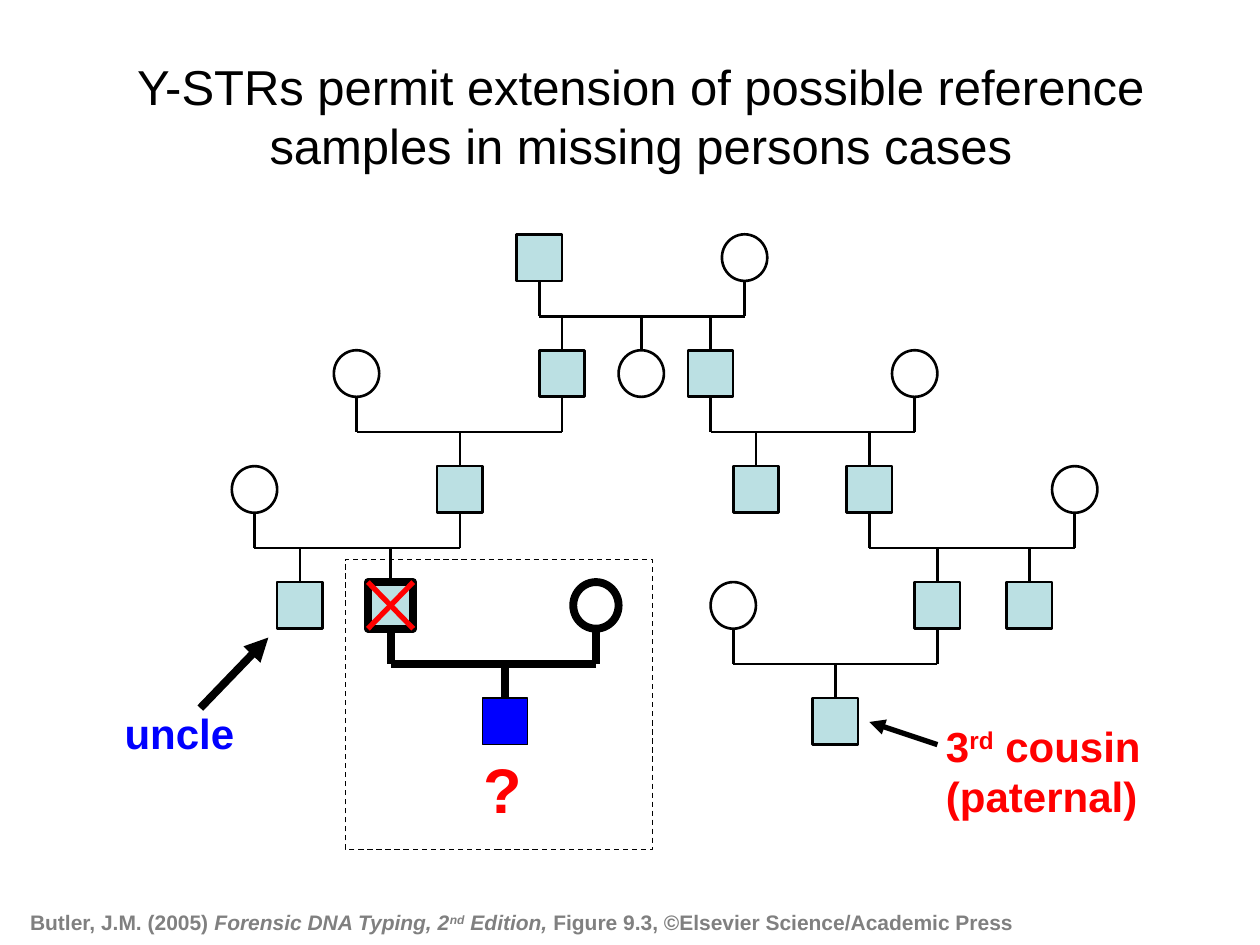
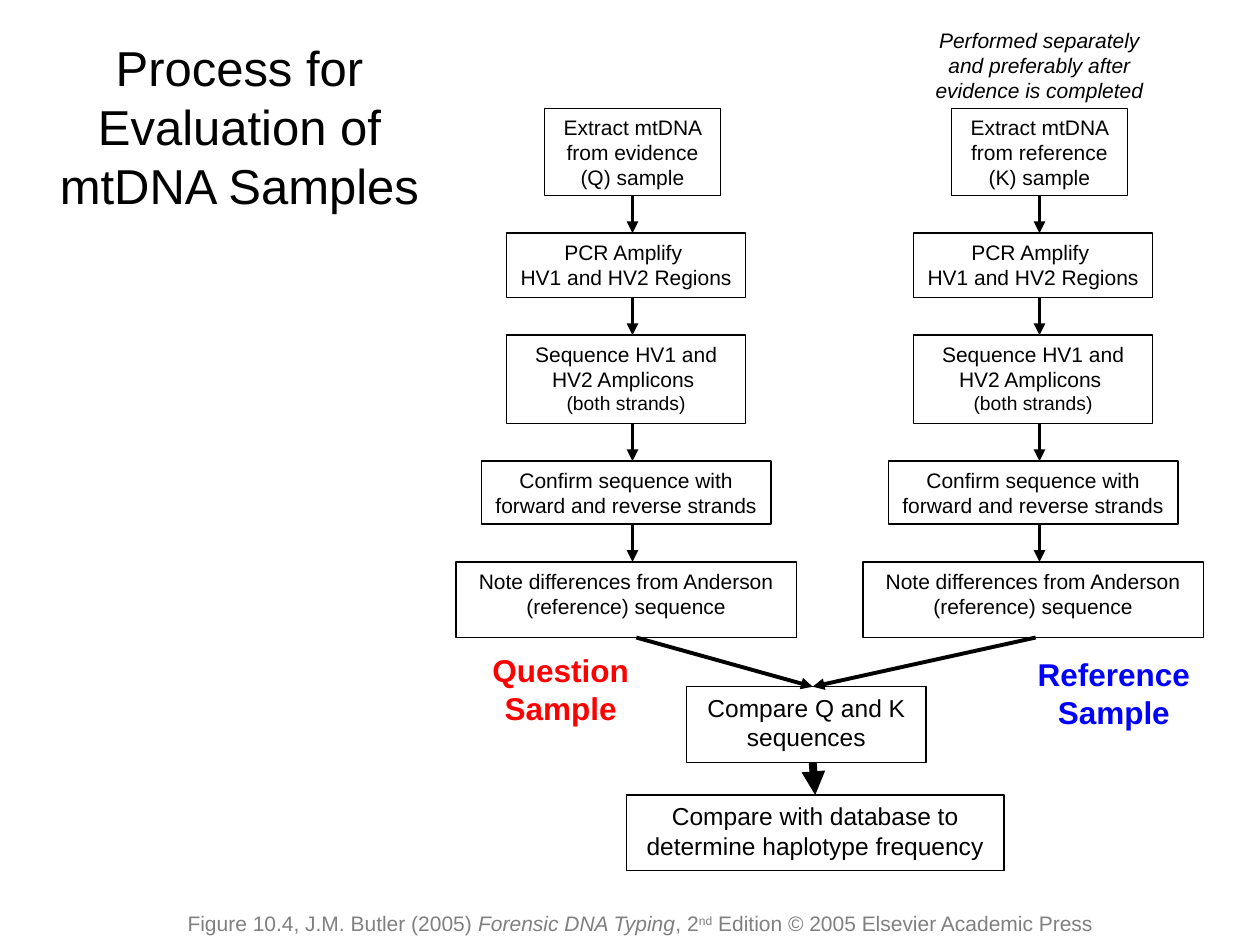
from lxml import etree
from pptx import Presentation
from pptx.dml.color import RGBColor
from pptx.enum.dml import MSO_LINE
from pptx.enum.shapes import MSO_CONNECTOR, MSO_SHAPE
from pptx.enum.text import MSO_ANCHOR, MSO_AUTO_SIZE, PP_ALIGN
from pptx.oxml.ns import qn
from pptx.util import Inches, Pt

BLACK, WHITE, GREY = "000000", "FFFFFF", "808080"
RED, BLUE, PALE_TEAL = "FF0000", "0000FF", "BBE0E3"
FONT = "Arial"
TITLE_ONLY = 5
TOP, BOTTOM = 0, 2

# Pedigree geometry
SYMBOL_W, SYMBOL_H = 0.36, 0.37
FIRST_ROW, ROW_STEP, BAR_OFFSET = 1.86, 0.92, 0.65

# person: (generation, centre x, sex, outline width, fill)
MALE, FEMALE = "male", "female"
PEOPLE = {
    "great-great-grandfather": (0, 4.28, MALE),
    "great-great-grandmother": (0, 5.91, FEMALE),
    "great-grandfather": (1, 4.46, MALE),
    "great-grandmother": (1, 2.83, FEMALE),
    "great-grandaunt": (1, 5.09, FEMALE),
    "great-granduncle": (1, 5.64, MALE),
    "great-granduncle's wife": (1, 7.26, FEMALE),
    "grandfather": (2, 3.65, MALE),
    "grandmother": (2, 2.02, FEMALE),
    "granduncle": (2, 6.0, MALE),
    "second granduncle": (2, 6.9, MALE),
    "second granduncle's wife": (2, 8.53, FEMALE),
    "uncle": (3, 2.38, MALE),
    "missing person": (3, 3.1, MALE, 4.5),
    "partner": (3, 4.73, FEMALE, 4.5),
    "second cousin": (3, 7.44, MALE),
    "second cousin's wife": (3, 5.82, FEMALE),
    "second cousin's brother": (3, 8.17, MALE),
    "son": (4, 4.01, MALE, 0.75, BLUE),
    "third cousin": (4, 6.63, MALE),
}
# family: father, mother, children, line width
FAMILIES = [
    ("great-great-grandfather", "great-great-grandmother",
     ["great-grandfather", "great-grandaunt", "great-granduncle"], 1.5),
    ("great-grandfather", "great-grandmother", ["grandfather"], 1.5),
    ("great-granduncle", "great-granduncle's wife",
     ["granduncle", "second granduncle"], 1.5),
    ("grandfather", "grandmother", ["uncle", "missing person"], 1.5),
    ("second granduncle", "second granduncle's wife",
     ["second cousin", "second cousin's brother"], 1.5),
    ("second cousin", "second cousin's wife", ["third cousin"], 1.5),
    ("missing person", "partner", ["son"], 4.5),
]

# Flow chart geometry
STEPS_TOP, STEP_GAP, ARROW_SHIFT = 0.86, 0.3, 0.05


def rgb(hex_colour):
    return RGBColor.from_string(hex_colour)


def format_font(font, formats):
    for name, value in formats.items():
        if name == "color":
            font.color.rgb = rgb(value)
        else:
            setattr(font, name, Pt(value) if name == "size" else value)


def write_text(frame, paragraphs, formats, align=PP_ALIGN.LEFT,
               anchor=MSO_ANCHOR.TOP, wrap=True):
    """Each paragraph is a string or a list of (text, run formats) pairs."""
    frame.word_wrap = wrap
    frame.auto_size = MSO_AUTO_SIZE.NONE
    frame.vertical_anchor = anchor
    for index, content in enumerate(paragraphs):
        paragraph = frame.paragraphs[0] if index == 0 else frame.add_paragraph()
        paragraph.alignment = align
        runs = [(content, {})] if isinstance(content, str) else content
        for text, own_formats in runs:
            run = paragraph.add_run()
            run.text = text
            merged = {"name": FONT, "color": BLACK, **formats, **own_formats}
            raised = merged.pop("raised", False)
            format_font(run.font, merged)
            if raised:
                run._r.get_or_add_rPr().set("baseline", "30000")


def add_label(slide, box, paragraphs, formats, **layout):
    label = slide.shapes.add_textbox(*map(Inches, box))
    write_text(label.text_frame, paragraphs, formats, **layout)


def set_title(slide, box, text):
    title = slide.shapes.title
    title.left, title.top, title.width, title.height = map(Inches, box)
    write_text(title.text_frame, [text], {"size": 28}, PP_ALIGN.CENTER,
               MSO_ANCHOR.MIDDLE)


def add_outlined(slide, kind, box, fill=None, width=0.75):
    outlined = slide.shapes.add_shape(kind, *map(Inches, box))
    outlined.shadow.inherit = False
    if fill:
        outlined.fill.solid()
        outlined.fill.fore_color.rgb = rgb(fill)
    else:
        outlined.fill.background()
    outlined.line.color.rgb = rgb(BLACK)
    outlined.line.width = Pt(width)
    return outlined


def add_line(slide, start, end, width, colour=BLACK, arrow=False):
    line = slide.shapes.add_connector(MSO_CONNECTOR.STRAIGHT,
                                      *map(Inches, (*start, *end)))
    line.line.color.rgb = rgb(colour)
    line.line.width = Pt(width)
    properties = line._element.spPr
    if arrow:
        etree.SubElement(properties.find(qn("a:ln")), qn("a:tailEnd"),
                         type="triangle")
    etree.SubElement(properties, qn("a:effectLst"))
    return line


def row_top(generation):
    return FIRST_ROW + generation * ROW_STEP


def add_person(slide, generation, x, sex, width=1.5, fill=PALE_TEAL):
    box = (x - SYMBOL_W / 2, row_top(generation), SYMBOL_W, SYMBOL_H)
    if sex == MALE:
        return add_outlined(slide, MSO_SHAPE.RECTANGLE, box, fill, width)
    return add_outlined(slide, MSO_SHAPE.OVAL, box, None, width)


def add_family(slide, symbols, father, mother, children, width):
    generation, father_x = PEOPLE[father][:2]
    mother_x = PEOPLE[mother][1]
    parents_bottom = row_top(generation) + SYMBOL_H
    bar_y = row_top(generation) + BAR_OFFSET
    add_line(slide, (father_x, bar_y), (mother_x, bar_y), width)
    for parent, x in ((father, father_x), (mother, mother_x)):
        stem = add_line(slide, (x, parents_bottom), (x, bar_y), width)
        if PEOPLE[parent][2] == MALE:
            stem.begin_connect(symbols[parent], BOTTOM)
    for child in children:
        x, sex = PEOPLE[child][1:3]
        drop = add_line(slide, (x, bar_y), (x, row_top(generation + 1)), width)
        if sex == MALE:
            drop.end_connect(symbols[child], TOP)


def cross_out(slide, person):
    generation, x = PEOPLE[person][:2]
    left, right = x - SYMBOL_W / 2, x + SYMBOL_W / 2
    top = row_top(generation)
    bottom = top + SYMBOL_H
    add_line(slide, (left, top), (right, bottom), 3, RED)
    add_line(slide, (right, top), (left, bottom), 3, RED)


def add_step(slide, centre_x, top, width, height, paragraphs, size=12):
    step = add_outlined(slide, MSO_SHAPE.RECTANGLE,
                        (centre_x - width / 2, top, width, height), WHITE)
    write_text(step.text_frame, paragraphs, {"size": size}, PP_ALIGN.CENTER)
    return step


def add_sample_column(slide, centre_x, sample):
    """Stack the laboratory steps for one sample, joined by arrows."""
    steps = [
        (1.4, 0.69, [f"Extract mtDNA from {sample} sample"]),
        (1.9, 0.51, ["PCR Amplify ", "HV1 and HV2 Regions"]),
        (1.9, 0.7, ["Sequence HV1 and HV2 Amplicons ",
                    [("(both strands)", {"size": 11})]]),
        (2.3, 0.5, ["Confirm sequence with forward and reverse strands"]),
        (2.7, 0.6, ["Note differences from Anderson (reference) sequence"]),
    ]
    arrow_x = centre_x + ARROW_SHIFT
    top, extraction = STEPS_TOP, None
    for width, height, paragraphs in steps:
        if extraction is None:
            extraction = add_step(slide, arrow_x, top, width, height, paragraphs)
        else:
            add_step(slide, centre_x, top, width, height, paragraphs)
            arrow = add_line(slide, (arrow_x, top - STEP_GAP), (arrow_x, top),
                             2.25, arrow=True)
            if top - STEP_GAP < STEPS_TOP + steps[0][1] + 0.01:
                arrow.begin_connect(extraction, BOTTOM)
        top += height + STEP_GAP


def build_pedigree(slide):
    set_title(slide, (0.75, 0.29, 8.67, 1.25),
              "Y-STRs permit extension of possible reference samples "
              "in missing persons cases")
    symbols = {name: add_person(slide, *person)
               for name, person in PEOPLE.items()}
    for family in FAMILIES:
        add_family(slide, symbols, *family)
    cross_out(slide, "missing person")
    case_frame = add_outlined(slide, MSO_SHAPE.RECTANGLE, (2.74, 4.44, 2.44, 2.3))
    case_frame.line.dash_style = MSO_LINE.DASH

    add_line(slide, (1.59, 5.62), (2.13, 5.06), 4.5, arrow=True)
    add_line(slide, (7.44, 5.91), (6.9, 5.73), 3, arrow=True)
    callout = {"size": 24, "bold": True}
    add_label(slide, (0.89, 5.57, 1.28, 0.5), ["uncle"],
              {**callout, "color": BLUE})
    add_label(slide, (7.41, 5.67, 1.84, 0.9),
              [[("3", {}), ("rd", {"raised": True}), (" cousin", {})],
               "(paternal)"],
              {**callout, "color": RED}, wrap=False)
    add_label(slide, (3.74, 5.91, 0.5, 0.7), ["?"],
              {"size": 36, "bold": True, "color": RED}, wrap=False)
    italic = {"italic": True}
    add_label(slide, (0.14, 7.17, 8.69, 0.3),
              [[("Butler, J.M. (2005)", {}),
                (" Forensic DNA Typing, 2", italic),
                ("nd", {**italic, "raised": True}),
                (" Edition,", italic),
                (" Figure 9.3, ©Elsevier Science/Academic Press", {})]],
              {"size": 12, "bold": True, "color": GREY})


def build_mtdna_process(slide):
    set_title(slide, (0.18, 0.21, 3.44, 1.58),
              "Process for Evaluation of mtDNA Samples")
    add_label(slide, (7.25, 0.17, 2, 0.7),
              ["Performed separately and preferably after evidence is completed"],
              {"size": 12, "italic": True}, align=PP_ALIGN.CENTER)
    add_sample_column(slide, 4.97, "evidence (Q)")
    add_sample_column(slide, 8.2, "reference (K)")

    add_step(slide, 6.4, 5.45, 1.9, 0.6, ["Compare Q and K sequences"], 14)
    add_step(slide, 6.47, 6.31, 3, 0.6,
             ["Compare with database to determine haplotype frequency"],
             14)
    for notes_x in (5.05, 8.22):
        add_line(slide, (notes_x, 5.06), (6.45, 5.45), 2.25, arrow=True)
    add_line(slide, (6.45, 6.05), (6.47, 6.31), 4.5, arrow=True)

    for box, text, colour in (
            ((3.62, 5.12, 1.66, 0.7), "Question Sample", RED),
            ((7.97, 5.15, 1.74, 0.7), "Reference Sample", BLUE)):
        add_label(slide, box, [text],
                  {"size": 18, "bold": True, "color": colour},
                  align=PP_ALIGN.CENTER)
    add_label(slide, (1.39, 7.18, 7.41, 0.3),
              [[("Figure 10.4, J.M. Butler (2005) ", {}),
                ("Forensic DNA Typing", {"italic": True}),
                (", 2", {}), ("nd", {"raised": True}),
                (" Edition © 2005 Elsevier Academic Press", {})]],
              {"size": 12, "color": GREY}, wrap=False)


def main():
    presentation = Presentation()
    presentation.slide_width = Inches(10)
    presentation.slide_height = Inches(7.5)
    layout = presentation.slide_layouts[TITLE_ONLY]
    for build in (build_pedigree, build_mtdna_process):
        build(presentation.slides.add_slide(layout))
    presentation.save("out.pptx")


if __name__ == "__main__":
    main()
